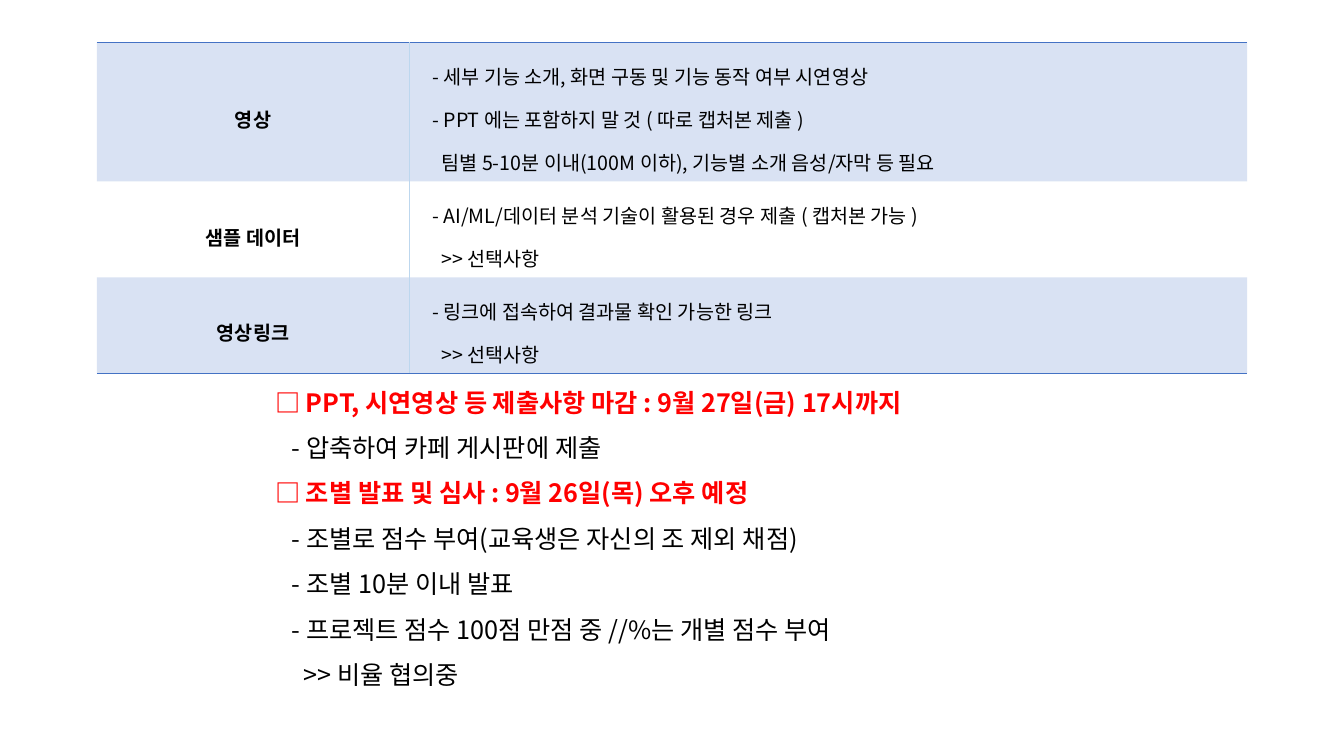
from lxml import etree
from pptx import Presentation, util as u
from pptx.dml.color import RGBColor
from pptx.enum import text
from pptx.oxml import ns

FONT = "Noto Sans CJK KR"
COLORS = {"ink": "000000", "alert": "FF0000", "band": "4472C4", "divider": "BDD7EE"}
INDENT_PER_POINT = 0.0046


def write_lines(frame, lines, size):
    for number, (level, wording, bold, color) in enumerate(lines):
        line = frame.paragraphs[0] if number == 0 else frame.add_paragraph()
        line.line_spacing = 1.5
        indent = (0, 2, 3.4)[level] * size * INDENT_PER_POINT
        line._p.get_or_add_pPr().set("marL", str(u.Inches(indent)))
        run = line.add_run()
        run.text = wording
        run.font.name = FONT
        run.font.size = u.Pt(size)
        run.font.bold = bold
        run.font.color.rgb = RGBColor.from_string(COLORS[color])
        etree.SubElement(run._r.get_or_add_rPr(), ns.qn("a:ea"), typeface=FONT)


def add_border(cell, side, color):
    edge = etree.SubElement(cell._tc.get_or_add_tcPr(), ns.qn(f"a:ln{side}"), w=str(u.Pt(1)))
    paint = etree.SubElement(edge, ns.qn("a:solidFill"))
    etree.SubElement(paint, ns.qn("a:srgbClr"), val=COLORS[color])


deck = Presentation()
deck.slide_width, deck.slide_height = u.Inches(13.33), u.Inches(7.5)
slide = deck.slides.add_slide(deck.slide_layouts[6])

submissions = [
    ("영상", 1.38, [
        (1, "- 세부 기능 소개, 화면 구동 및 기능 동작 여부 시연영상"),
        (1, "- PPT 에는 포함하지 말 것 ( 따로 캡처본 제출 )"),
        (2, "팀별 5-10분 이내(100M 이하), 기능별 소개 음성/자막 등 필요"),
    ]),
    ("샘플 데이터", 0.95, [
        (1, "- AI/ML/데이터 분석 기술이 활용된 경우 제출 ( 캡처본 가능 )"),
        (2, ">> 선택사항"),
    ]),
    ("영상링크", 0.95, [
        (1, "- 링크에 접속하여 결과물 확인 가능한 링크"),
        (2, ">> 선택사항"),
    ]),
]
column_widths = (3.1, 8.31)
table_height = sum(height for _, height, _ in submissions)
guide_frame = slide.shapes.add_table(
    len(submissions), 2, u.Inches(0.96), u.Inches(0.42),
    u.Inches(sum(column_widths)), u.Inches(table_height))
guide = guide_frame.table
guide.first_row = guide.horz_banding = False
guide._tbl.tblPr.find(ns.qn("a:tableStyleId")).text = "{2D5ABB26-0587-4C30-8999-92F81FD0307C}"
for column, width in zip(guide.columns, column_widths):
    column.width = u.Inches(width)

last = len(submissions) - 1
for index, (item, height, rules) in enumerate(submissions):
    guide.rows[index].height = u.Inches(height)
    item_cell, rules_cell = guide.rows[index].cells
    write_lines(item_cell.text_frame, [(0, item, True, "ink")], 14)
    item_cell.text_frame.paragraphs[0].alignment = text.PP_ALIGN.CENTER
    write_lines(rules_cell.text_frame, [(*rule, False, "ink") for rule in rules], 14)
    for cell, inner_side in ((item_cell, "R"), (rules_cell, "L")):
        cell.vertical_anchor = text.MSO_ANCHOR.MIDDLE
        add_border(cell, inner_side, "divider")
        if index == 0:
            add_border(cell, "T", "band")
        if index == last:
            add_border(cell, "B", "band")
        if index % 2:
            cell.fill.background()
        else:
            cell.fill.solid()
            cell.fill.fore_color.rgb = RGBColor.from_string(COLORS["band"])
            tint = cell._tc.tcPr.find(ns.qn("a:solidFill"))[0]
            etree.SubElement(tint, ns.qn("a:alpha"), val="20000")

schedule = [
    (0, "□ PPT, 시연영상 등 제출사항 마감 : 9월 27일(금) 17시까지"),
    (1, "- 압축하여 카페 게시판에 제출"),
    (0, "□ 조별 발표 및 심사 : 9월 26일(목) 오후 예정"),
    (1, "- 조별로 점수 부여(교육생은 자신의 조 제외 채점)"),
    (1, "- 조별 10분 이내 발표"),
    (1, "- 프로젝트 점수 100점 만점 중 //%는 개별 점수 부여"),
    (2, ">> 비율 협의중"),
]
notice = slide.shapes.add_textbox(u.Inches(2.63), u.Inches(3.64), u.Inches(8.67), u.Inches(3.28))
notice.text_frame.word_wrap = True
notice.text_frame.auto_size = text.MSO_AUTO_SIZE.SHAPE_TO_FIT_TEXT
write_lines(
    notice.text_frame,
    [(level, wording, level == 0, "ink" if level else "alert") for level, wording in schedule], 18)

deck.save("out.pptx")
